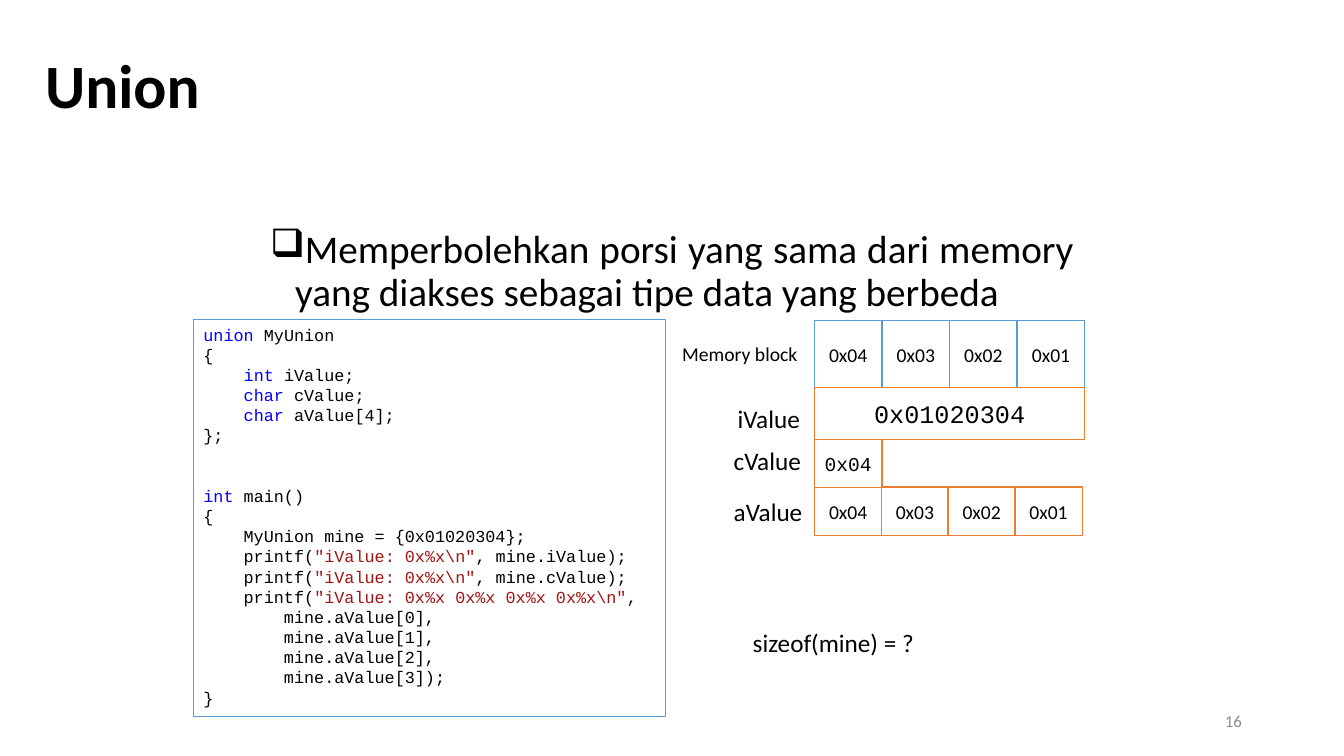
"""Build the slide on C unions with its code listing and memory map."""
from dataclasses import dataclass
from pptx import Presentation
from pptx.dml.color import RGBColor as Rgb
from pptx.enum import shapes as es, text as et
from pptx.oxml import parse_xml
from pptx.oxml.ns import nsdecls
from pptx.util import Pt


@dataclass(frozen=True)
class Theme:
    sans: str = "Calibri"
    mono: str = "Courier New"
    black: Rgb = Rgb(0, 0, 0)
    white: Rgb = Rgb(255, 255, 255)
    gray: Rgb = Rgb(0x8C, 0x8C, 0x8C)
    blue: Rgb = Rgb(0x5B, 0x9B, 0xD5)
    orange: Rgb = Rgb(0xED, 0x7D, 0x31)
    key: Rgb = Rgb(0, 0, 255)
    quote: Rgb = Rgb(0xA3, 0x15, 0x15)
    title: int = 44
    body: int = 28
    label: int = 18
    cell: int = 14
    small: int = 12


th = Theme()
mid, top = et.MSO_ANCHOR.MIDDLE, et.MSO_ANCHOR.TOP
left, center, right = et.PP_ALIGN.LEFT, et.PP_ALIGN.CENTER, et.PP_ALIGN.RIGHT
pres = Presentation()
pres.slide_width, pres.slide_height = Pt(960), Pt(540)
slide = pres.slides.add_slide(pres.slide_layouts[6])


def write(at, words, size, anchor=top, align=left, wrap=True, color=th.black):
    box = slide.shapes.add_textbox(*map(Pt, at))
    frame = box.text_frame
    frame.word_wrap, frame.vertical_anchor = wrap, anchor
    frame.text = words
    para = frame.paragraphs[0]
    para.alignment = align
    font = para.runs[0].font
    font.name, font.size, font.color.rgb = th.sans, Pt(size), color
    return para


def block(at, line, words="", size=th.cell, face=th.sans):
    rect = slide.shapes.add_shape(es.MSO_SHAPE.RECTANGLE, *map(Pt, at))
    rect.shadow.inherit = False
    rect.fill.solid()
    rect.fill.fore_color.rgb = th.white
    rect.line.color.rgb, rect.line.width = line, Pt(1)
    frame = rect.text_frame
    frame.text, frame.vertical_anchor = words, mid
    para = frame.paragraphs[0]
    para.alignment = center
    for run in para.runs:
        run.font.name, run.font.size = face, Pt(size)
        run.font.color.rgb = th.black
    return rect


head = write((25.2, 10.8, 790.6, 104.4), "Union", th.title, mid)
head.line_spacing = 0.9
head.runs[0].font.bold = True

point = write((185.8, 160.6, 588.2, 73.4),
              "Memperbolehkan porsi yang sama dari memory yang diakses "
              "sebagai tipe data yang berbeda", th.body, align=et.PP_ALIGN.JUSTIFY)
point.line_spacing = 0.9
props = point._p.get_or_add_pPr()
props.set("marL", str(Pt(18)))
props.set("indent", str(Pt(-18)))
props.append(parse_xml(f'<a:buChar {nsdecls("a")} char="❑"/>'))

code = r'''union| MyUnion
{
    |int| iValue;
    |char| cValue;
    |char| aValue[4];
};
int| main()
{
    MyUnion mine = {0x01020304};
    printf(|"iValue: 0x%x\n"|, mine.iValue);
    printf(|"iValue: 0x%x\n"|, mine.cValue);
    printf(|"iValue: 0x%x 0x%x 0x%x 0x%x\n"|,
        mine.aValue[0],
        mine.aValue[1],
        mine.aValue[2],
        mine.aValue[3]);
}'''
frame = block((138.2, 228.2, 337, 283.7), th.blue).text_frame
frame.vertical_anchor = top
for row, line in enumerate(code.split("\n")):
    para = frame.add_paragraph() if row else frame.paragraphs[0]
    para.alignment, para.line_spacing = left, Pt(14.4)
    if line.endswith("main()"):
        para.space_before = Pt(28.8)
    for part in line.split("|"):
        run = para.add_run()
        run.text = part
        font = run.font
        font.name, font.size, font.color.rgb = th.mono, Pt(th.small), th.black
        if part in ("union", "int", "char"):
            font.color.rgb = th.key
        elif part.startswith('"'):
            font.color.rgb = th.quote

edge = 581.8
for y, wide, high, line in ((229, 48.3, 48.2, th.blue), (348, 47.7, 34.4, th.orange)):
    for col, word in enumerate(("0x04", "0x03", "0x02", "0x01")):
        block((edge + col * wide, y, 48.2, high), line, word)
block((edge, 276.6, 193, 37.4), th.orange, "0x01020304", th.label, th.mono)
block((edge, 314, 48.2, 34.2), th.orange, "0x04", th.cell, th.mono)

for x, y, wide, words, size in (
    (480.2, 240.8, 101, "Memory block", th.cell),
    (519.8, 284.6, 59.8, "iValue", th.label),
    (517, 314.8, 64.8, "cValue", th.label),
    (517, 350.8, 66.2, "aValue", th.label),
    (530.6, 444.4, 131, "sizeof(mine) = ?", th.label),
):
    write((x, y, wide, 28.8), words, size, wrap=False)
write((678.2, 500.4, 216, 28.8), "16", th.small, mid, right, color=th.gray)

pres.save("out.pptx")
